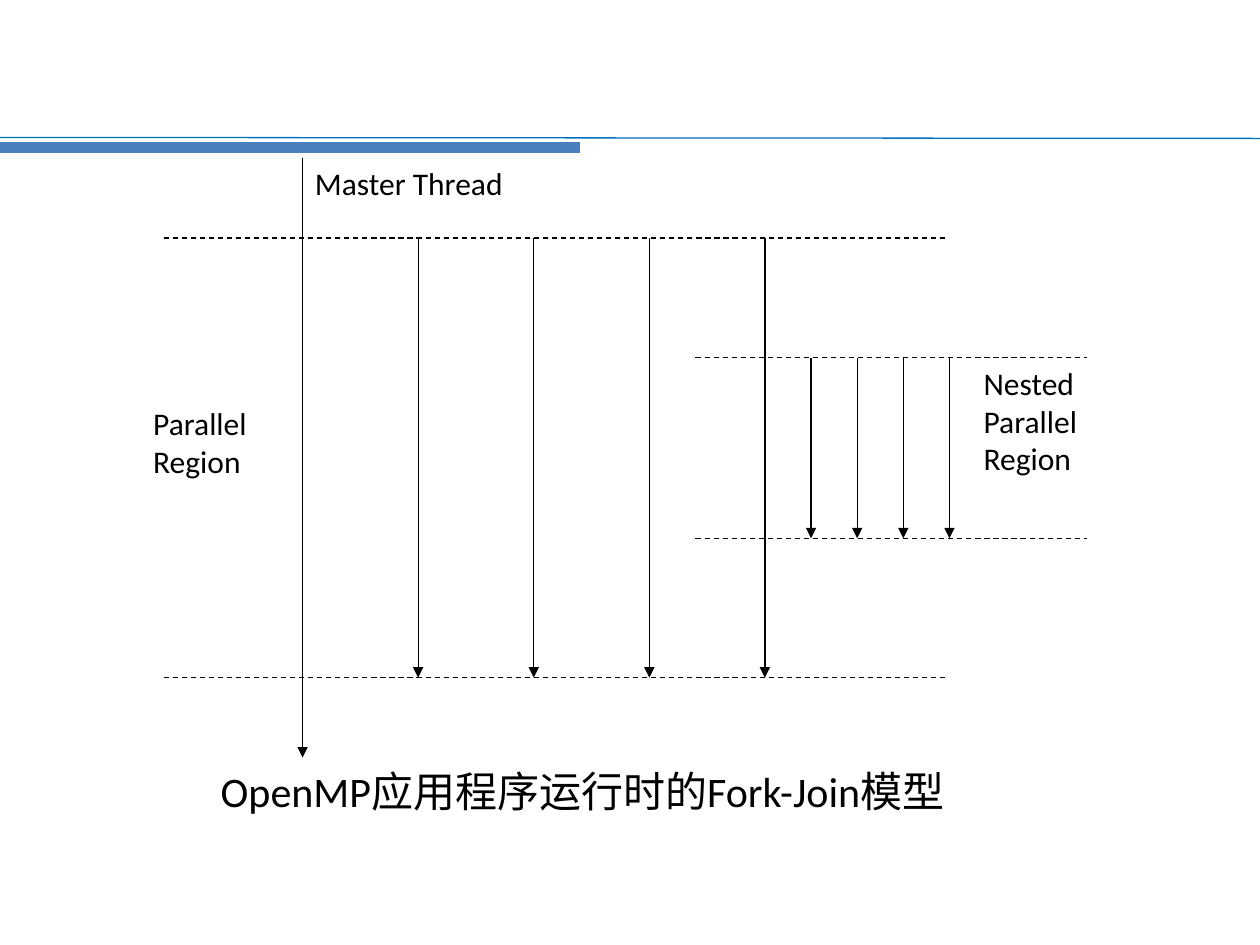
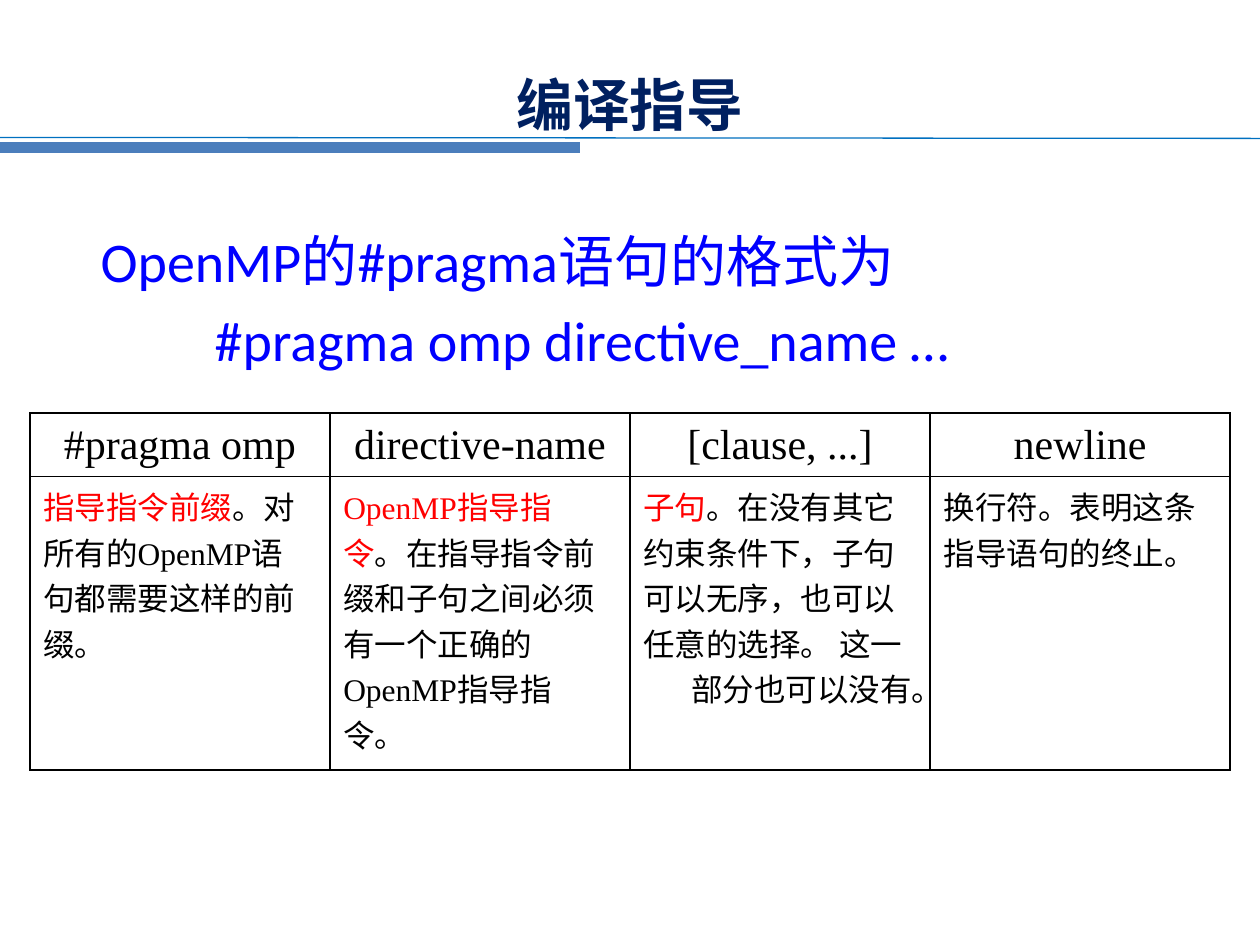
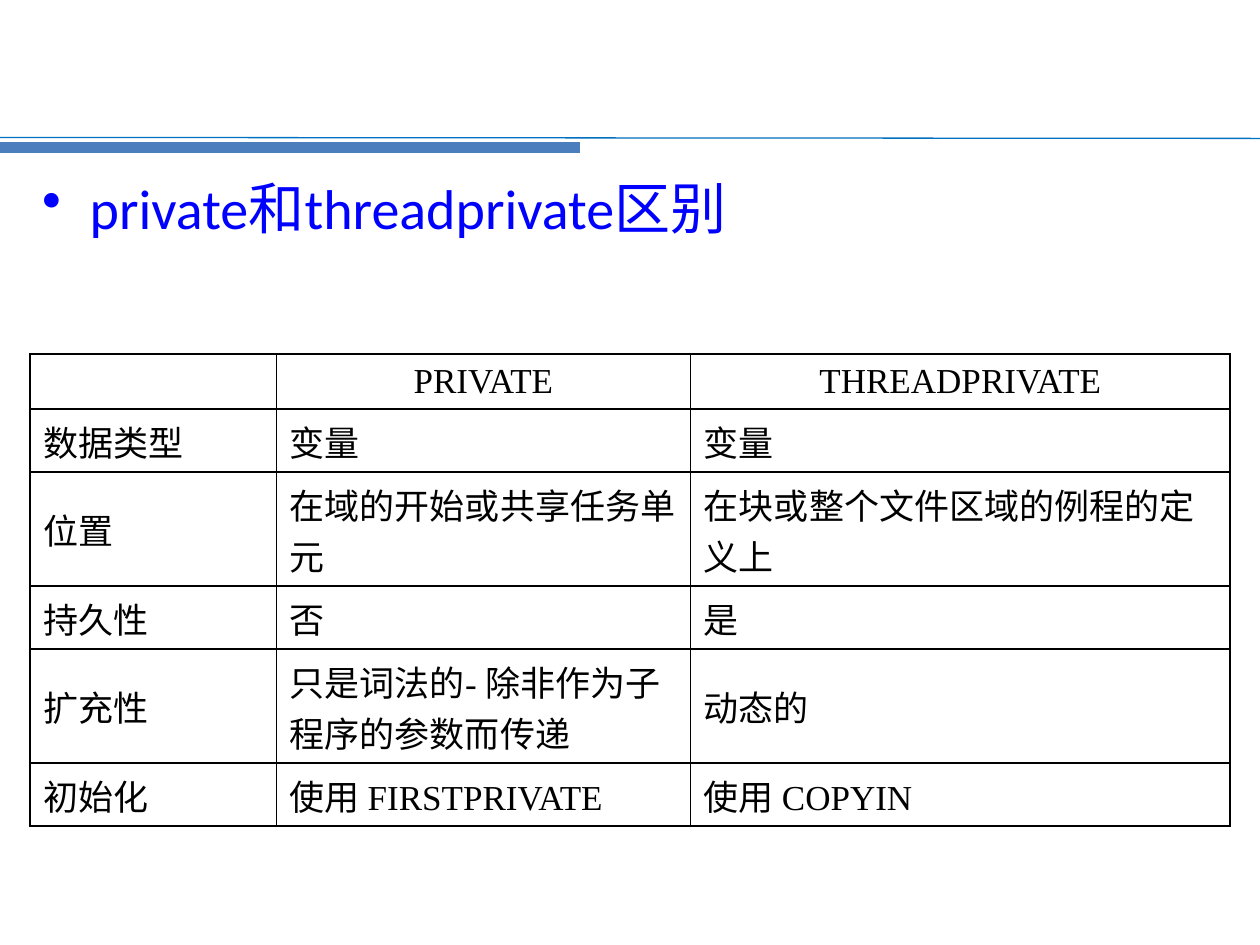
from pptx import Presentation
from pptx import util as u
from pptx.dml.color import RGBColor
from pptx.enum import dml, shapes, text
from pptx.oxml.ns import qn
from lxml import etree

BLACK, WHITE, RED, BLUE = "000000", "FFFFFF", "FF0000", "0000FF"
NAVY, RULE_BLUE, BAND_BLUE = "002060", "0070C0", "4B7EBC"
SANS, SERIF = "Calibri", "Times New Roman"
LEFT, CENTER, JUSTIFY = text.PP_ALIGN.LEFT, text.PP_ALIGN.CENTER, text.PP_ALIGN.JUSTIFY
TOP, MIDDLE = text.MSO_ANCHOR.TOP, text.MSO_ANCHOR.MIDDLE
SLIDE_WIDTH, SLIDE_HEIGHT = 25.4, 19.05
MARGIN, CONTENT_WIDTH = 0.6, 24.2
HANGING = 0.96


def colour(hex_string):
    """Turn a hex string into a colour."""
    return RGBColor.from_string(hex_string)


def add_line(slide, start, end, line_colour=BLACK, width=0.75, dashed=False, arrow=False):
    """Draw a straight line between two points in centimetres."""
    line = slide.shapes.add_connector(
        shapes.MSO_CONNECTOR.STRAIGHT, *(u.Cm(value) for value in (*start, *end)))
    line.line.color.rgb = colour(line_colour)
    line.line.width = u.Pt(width)
    if dashed:
        line.line.dash_style = dml.MSO_LINE.DASH
    if arrow:
        etree.SubElement(line.line._get_or_add_ln(), qn("a:tailEnd"), type="triangle")
    etree.SubElement(line._element.spPr, qn("a:effectLst"))


def write(frame, content, size=18, font=SANS, text_colour=BLACK, bold=False, align=LEFT,
          indent=0, hanging=0, before=0, bullet=None):
    """Add one paragraph; content is a string or a list of (text, colour) pairs."""
    paragraph = frame.add_paragraph() if frame.text else frame.paragraphs[0]
    paragraph.alignment = align
    paragraph.space_before = u.Pt(before)
    properties = paragraph._p.get_or_add_pPr()
    properties.set("marL", str(u.Cm(indent + hanging)))
    properties.set("indent", str(-u.Cm(hanging)))
    if bullet:
        etree.SubElement(properties, qn("a:buChar"), char=bullet)
    parts = [(content, text_colour)] if isinstance(content, str) else content
    for words, part_colour in parts:
        run = paragraph.add_run()
        run.text = words
        run.font.size = u.Pt(size)
        run.font.name = font
        run.font.bold = bold
        run.font.color.rgb = colour(part_colour)


def add_text(slide, box, paragraphs, anchor=TOP, fill=None, inset=None, **text_format):
    """Add a text box at (left, top, width, height) and return its frame."""
    holder = slide.shapes.add_textbox(*(u.Cm(value) for value in box))
    frame = holder.text_frame
    frame.word_wrap = True
    frame.vertical_anchor = anchor
    if fill:
        holder.fill.solid()
        holder.fill.fore_color.rgb = colour(fill)
    if inset is not None:
        frame.margin_left = frame.margin_right = u.Cm(inset)
        frame.margin_top = frame.margin_bottom = u.Cm(inset)
    for content in paragraphs:
        write(frame, content, **text_format)
    return frame


def draw_borders(cell):
    """Give a cell thin black edges on all four sides."""
    properties = cell._tc.get_or_add_tcPr()
    for position, side in enumerate(("lnL", "lnR", "lnT", "lnB")):
        edge = etree.Element(qn("a:" + side), w=str(u.Pt(1)))
        solid = etree.SubElement(edge, qn("a:solidFill"))
        etree.SubElement(solid, qn("a:srgbClr"), val=BLACK)
        properties.insert(position, edge)


def add_grid(slide, top, widths, heights):
    """Add an unfilled, ruled table and return it."""
    table = slide.shapes.add_table(
        len(heights), len(widths), u.Cm(MARGIN), u.Cm(top),
        u.Cm(sum(widths)), u.Cm(sum(heights))).table
    table.first_row = table.horz_banding = False
    for column, width in zip(table.columns, widths):
        column.width = u.Cm(width)
    for row, height in zip(table.rows, heights):
        row.height = u.Cm(height)
    for cell in table.iter_cells():
        cell.margin_left = cell.margin_right = u.Cm(0.27)
        cell.margin_top = cell.margin_bottom = u.Cm(0.13)
        cell.fill.background()
        draw_borders(cell)
    return table


def fill_cell(cell, paragraphs, anchor=MIDDLE, **text_format):
    """Write the paragraphs of one table cell."""
    cell.vertical_anchor = anchor
    for content in paragraphs:
        write(cell.text_frame, content, font=SERIF, **text_format)


def start_slide(deck, title=None):
    """Add a blank slide with the shared header rules and an optional title."""
    slide = deck.slides.add_slide(deck.slide_layouts[6])
    add_line(slide, (0, 2.77), (SLIDE_WIDTH, 2.79), RULE_BLUE)
    add_line(slide, (0, 2.97), (11.7, 2.97), BAND_BLUE, width=6)
    if title:
        add_text(slide, (MARGIN, 1.4, CONTENT_WIDTH, 1.4), [title], anchor=MIDDLE,
                 size=32.4, text_colour=NAVY, bold=True, align=CENTER)
    return slide


def add_region(slide, left, right, top, bottom, first_thread, gap):
    """Draw a parallel region: dashed fork and join lines with four threads."""
    for level in (top, bottom):
        add_line(slide, (left, level), (right, level), dashed=True)
    for index in range(4):
        thread = first_thread + index * gap
        add_line(slide, (thread, top), (thread, bottom), arrow=True)


def build_fork_join(deck):
    """Fork-join diagram with a nested region."""
    slide = start_slide(deck)
    master, gap, nested_gap = 6.1, 2.33, 0.93
    add_line(slide, (master, 3.18), (master, 15.27), arrow=True)
    add_region(slide, 3.3, 19.13, 4.8, 13.66, master + gap, gap)
    add_region(slide, 14.02, 21.92, 7.21, 10.85, master + 4 * gap + nested_gap, nested_gap)
    add_text(slide, (master, 3.18, 4.65, 1.22), ["Master Thread"])
    add_text(slide, (2.84, 8.03, 2.8, 2), ["Parallel", "Region"])
    add_text(slide, (19.58, 7.21, 2.8, 3.23), ["Nested", "Parallel", "Region"])
    add_text(slide, (4.45, 15.44, 16.08, 1.02), ["OpenMP应用程序运行时的Fork-Join模型"],
             fill=WHITE, inset=0, size=24)


def build_directives(deck):
    """Format of the pragma statement and its four parts."""
    slide = start_slide(deck, "编译指导")
    statement = dict(size=32, text_colour=BLUE, before=6.4)
    frame = add_text(slide, (1.78, 4.45, 23.62, 3.56), ["OpenMP的#pragma语句的格式为"],
                     hanging=HANGING, **statement)
    write(frame, "#pragma omp directive_name …", indent=2.3, **statement)
    parts = [
        ("#pragma omp", JUSTIFY,
         [[("指导指令前缀", RED), ("。对", BLACK)],
          "所有的OpenMP语", "句都需要这样的前", "缀。"]),
        ("directive-name", JUSTIFY,
         [[("OpenMP指导指", RED)], [("令", RED), ("。在指导指令前", BLACK)],
          "缀和子句之间必须", "有一个正确的", "OpenMP指导指", "令。"]),
        ("[clause, ...]", LEFT,
         [[("子句", RED), ("。在没有其它", BLACK)], "约束条件下，子句",
          "可以无序，也可以", "任意的选择。 这一部分也可以没有。"]),
        ("newline", LEFT, ["换行符。表明这条", "指导语句的终止。"]),
    ]
    table = add_grid(slide, 8.33, [CONTENT_WIDTH / len(parts)] * len(parts), [1.27, 5.92])
    for column, (heading, align, meaning) in enumerate(parts):
        fill_cell(table.cell(0, column), [heading], size=24, align=CENTER, hanging=HANGING)
        fill_cell(table.cell(1, column), meaning, anchor=TOP, align=align, hanging=HANGING)


def build_comparison(deck):
    """Table comparing private with threadprivate."""
    slide = start_slide(deck)
    add_text(slide, (MARGIN, 3.38, CONTENT_WIDTH, 13.9), ["private和threadprivate区别"],
             size=32, text_colour=BLUE, before=6.4, hanging=HANGING, bullet="•")
    rows = [
        ("", "PRIVATE", "THREADPRIVATE"),
        ("数据类型", "变量", "变量"),
        ("位置", "在域的开始或共享任务单元", "在块或整个文件区域的例程的定义上"),
        ("持久性", "否", "是"),
        ("扩充性", "只是词法的- 除非作为子程序的参数而传递", "动态的"),
        ("初始化", "使用 FIRSTPRIVATE", "使用 COPYIN"),
    ]
    single, double = 1.27, 2.3
    table = add_grid(slide, 7.14, [4.97, 8.35, 10.88],
                     [1.03, single, double, single, double, single])
    for row, entries in enumerate(rows):
        for column, entry in enumerate(entries):
            if entry:
                fill_cell(table.cell(row, column), [entry], size=20,
                          align=LEFT if row else CENTER)


def main():
    """Build and save the deck."""
    deck = Presentation()
    deck.slide_width, deck.slide_height = u.Cm(SLIDE_WIDTH), u.Cm(SLIDE_HEIGHT)
    build_fork_join(deck)
    build_directives(deck)
    build_comparison(deck)
    deck.save("out.pptx")


main()
